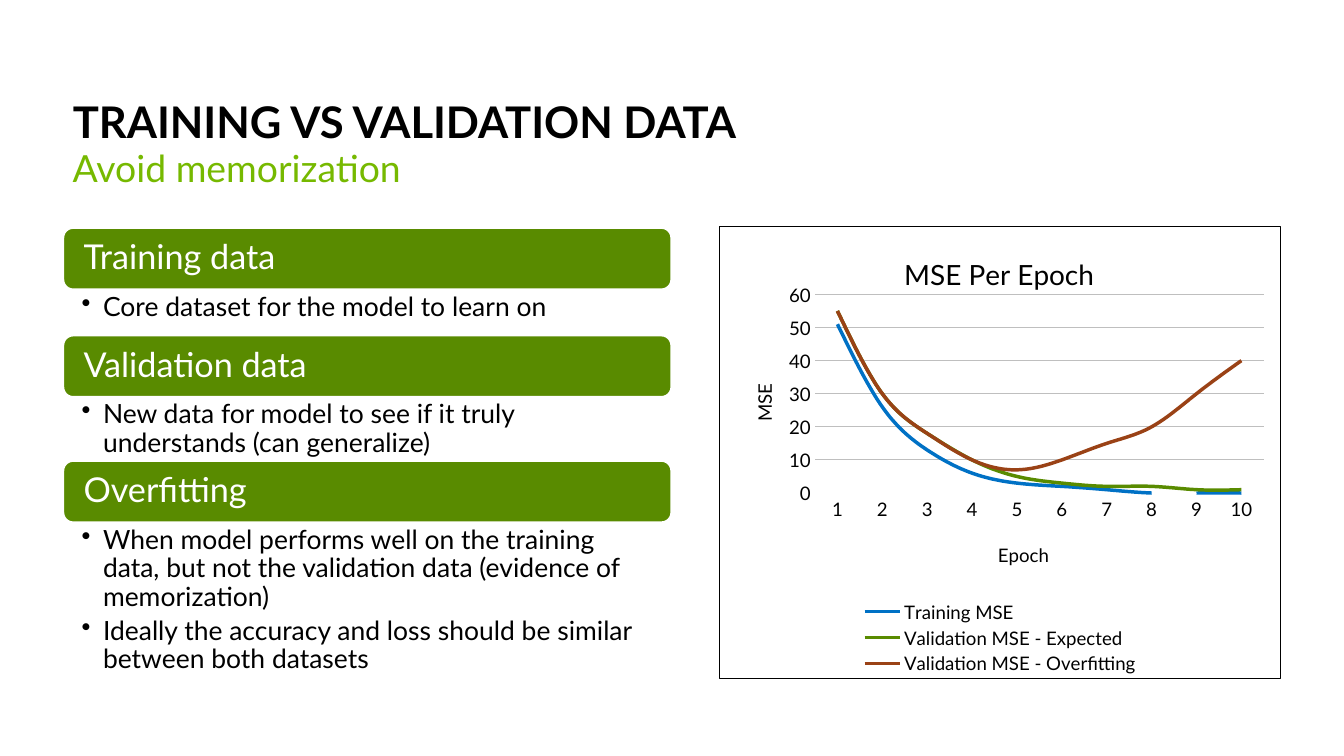
"""Build the training versus validation data slide."""
from dataclasses import dataclass

from lxml import etree
from pptx import Presentation
from pptx.chart import data as chart_data
from pptx.dml.color import RGBColor
from pptx.enum import chart as chart_enum, shapes, text
from pptx.oxml import ns
from pptx.util import Inches, Pt

FONT = "Lato"
BLACK = RGBColor(0x00, 0x00, 0x00)
WHITE = RGBColor(0xFF, 0xFF, 0xFF)
LIME = RGBColor(0x76, 0xB9, 0x00)
GREEN = RGBColor(0x59, 0x8B, 0x00)
BLUE = RGBColor(0x00, 0x71, 0xC5)
BROWN = RGBColor(0x9A, 0x42, 0x16)
GRAY = RGBColor(0xBF, 0xBF, 0xBF)
LEFT, WIDTH, HEADING_HEIGHT = 0.56, 5.44, 0.56


@dataclass
class Section:
    heading: str
    bullets: list[str]
    body_height: float


@dataclass
class Curve:
    name: str
    values: list[int]
    color: RGBColor


SECTIONS = [
    Section("Training data", ["Core dataset for the model to learn on"], 0.4),
    Section("Validation data",
            ["New data for model to see if it truly understands (can generalize)"], 0.56),
    Section("Overfitting",
            ["When model performs well on the training data, but not the "
             "validation data (evidence of memorization)",
             "Ideally the accuracy and loss should be similar between both datasets"], 1.37),
]
CURVES = [
    Curve("Training MSE", [51, 26, 13, 6, 3, 2, 1, 0, 0, 0], BLUE),
    Curve("Validation MSE - Expected", [55, 30, 18, 10, 5, 3, 2, 2, 1, 1], GREEN),
    Curve("Validation MSE - Overfitting", [55, 30, 18, 10, 7, 10, 15, 20, 30, 40], BROWN),
]


def style_font(font, size: float, color: RGBColor, bold: bool = False) -> None:
    """Set the typeface, size, colour and weight of a font."""
    font.name, font.size, font.bold = FONT, Pt(size), bold
    font.color.rgb = color


def style_paragraph(paragraph, size: float, color: RGBColor, bold: bool = False) -> None:
    """Left-align a paragraph with tight lines and set its font."""
    paragraph.alignment = text.PP_ALIGN.LEFT
    paragraph.line_spacing = 0.9
    style_font(paragraph.font, size, color, bold)


def add_titles(slide) -> None:
    """Fill the title placeholder and add the subtitle below it."""
    title = slide.shapes.title
    title.left, title.top = Inches(0.55), Inches(0.69)
    title.width, title.height = Inches(6.48), Inches(0.68)
    subtitle = slide.shapes.add_textbox(Inches(0.55), Inches(1.29), Inches(6.48), Inches(0.57))
    for shape, words, size, color, anchor in (
        (title, "TRAINING VS VALIDATION DATA", 28, BLACK, text.MSO_ANCHOR.BOTTOM),
        (subtitle, "Avoid memorization", 24, LIME, text.MSO_ANCHOR.TOP),
    ):
        frame = shape.text_frame
        frame.text = words
        frame.word_wrap = True
        frame.auto_size = text.MSO_AUTO_SIZE.NONE
        frame.vertical_anchor = anchor
        style_paragraph(frame.paragraphs[0], size, color, bold=shape is title)


def add_bullet(paragraph) -> None:
    """Give a paragraph a hanging round bullet."""
    properties = paragraph._p.get_or_add_pPr()
    properties.set("marL", str(Inches(0.19)))
    properties.set("indent", str(-Inches(0.19)))
    etree.SubElement(properties, ns.qn("a:buChar")).set("char", "•")


def add_section(slide, section: Section, top: float) -> float:
    """Draw a heading bar with its bullets and return the bottom edge."""
    bar = slide.shapes.add_shape(shapes.MSO_SHAPE.ROUNDED_RECTANGLE, Inches(LEFT),
                                 Inches(top), Inches(WIDTH), Inches(HEADING_HEIGHT))
    bar.shadow.inherit = False
    bar.fill.solid()
    bar.fill.fore_color.rgb = GREEN
    bar.line.color.rgb = WHITE
    bar.line.width = Pt(2)
    frame = bar.text_frame
    frame.text = section.heading
    frame.margin_left = Inches(0.16)
    frame.vertical_anchor = text.MSO_ANCHOR.MIDDLE
    style_paragraph(frame.paragraphs[0], 22, WHITE)

    body_top = top + HEADING_HEIGHT
    body = slide.shapes.add_textbox(Inches(LEFT), Inches(body_top), Inches(WIDTH),
                                    Inches(section.body_height))
    frame = body.text_frame
    frame.word_wrap = True
    frame.margin_left = frame.margin_right = Inches(0.17)
    frame.margin_top = frame.margin_bottom = Inches(0.03)
    frame.text = "\n".join(section.bullets)
    for paragraph in frame.paragraphs:
        add_bullet(paragraph)
        style_paragraph(paragraph, 17, BLACK)
        paragraph.space_after = Pt(3.4)
    return body_top + section.body_height


def place(element, index: int, **settings) -> None:
    """Give a chart part a manual layout in fractions of the chart."""
    for old in element.findall(ns.qn("c:layout")):
        element.remove(old)
    layout = etree.Element(ns.qn("c:layout"))
    manual = etree.SubElement(layout, ns.qn("c:manualLayout"))
    for name, value in settings.items():
        etree.SubElement(manual, ns.qn(f"c:{name}")).set("val", str(value))
    element.insert(index, layout)


def add_chart_title(owner, words: str, size: float, x: float, y: float) -> None:
    """Title a chart or an axis at a fixed place."""
    title = owner.chart_title if hasattr(owner, "chart_title") else owner.axis_title
    title.text_frame.text = words
    style_font(title.text_frame.paragraphs[0].font, size, BLACK)
    place(title._element, 1, xMode="edge", yMode="edge", x=x, y=y)


def add_border(chart) -> None:
    """Outline the chart area with a thin black line."""
    properties = etree.Element(ns.qn("c:spPr"))
    etree.SubElement(properties, ns.qn("a:noFill"))
    line = etree.SubElement(properties, ns.qn("a:ln"), w=str(Pt(0.75)))
    fill = etree.SubElement(line, ns.qn("a:solidFill"))
    etree.SubElement(fill, ns.qn("a:srgbClr"), val=str(BLACK))
    chart._chartSpace.find(ns.qn("c:chart")).addnext(properties)


def add_error_chart(slide) -> None:
    """Draw the error curves for each epoch."""
    data = chart_data.CategoryChartData()
    data.categories = [str(epoch) for epoch in range(1, 11)]
    for curve in CURVES:
        data.add_series(curve.name, curve.values)
    chart = slide.shapes.add_chart(chart_enum.XL_CHART_TYPE.LINE, Inches(6.42), Inches(2.02),
                                   Inches(5.02), Inches(4.04), data).chart
    style_font(chart.font, 12, BLACK)
    add_border(chart)
    for curve, series in zip(CURVES, chart.plots[0].series):
        series.smooth = True
        series.format.line.color.rgb = curve.color
        series.format.line.width = Pt(2.25)

    epochs, errors = chart.category_axis, chart.value_axis
    for axis in (epochs, errors):
        axis.major_tick_mark = axis.minor_tick_mark = chart_enum.XL_TICK_MARK.NONE
        style_font(axis.tick_labels.font, 12, BLACK)
    epochs.format.line.color.rgb = WHITE
    epochs.format.line.width = Pt(0.75)
    errors.format.line.fill.background()
    errors.minimum_scale, errors.maximum_scale, errors.major_unit = 0, 60, 10
    errors.major_gridlines.format.line.color.rgb = GRAY
    errors.major_gridlines.format.line.width = Pt(0.75)

    add_chart_title(chart, "MSE Per Epoch", 18, 0.32, 0.05)
    add_chart_title(epochs, "Epoch", 12, 0.49, 0.69)
    add_chart_title(errors, "MSE", 12, 0.05, 0.34)
    chart.has_legend = True
    chart.legend.position = chart_enum.XL_LEGEND_POSITION.BOTTOM
    chart.legend.include_in_layout = False
    style_font(chart.legend.font, 12, BLACK)
    place(chart.legend._element, 1, xMode="edge", yMode="edge", x=0.25, y=0.82, w=0.5, h=0.18)
    place(chart._chartSpace.chart.plotArea, 0, layoutTarget="inner", xMode="edge",
          yMode="edge", x=0.17, y=0.15, w=0.8, h=0.44)


def main() -> None:
    """Assemble and save the slide."""
    presentation = Presentation()
    presentation.slide_width, presentation.slide_height = Inches(12), Inches(6.75)
    slide = presentation.slides.add_slide(presentation.slide_layouts[5])
    add_titles(slide)
    top = 2.03
    for section in SECTIONS:
        top = add_section(slide, section, top)
    add_error_chart(slide)
    presentation.save("out.pptx")


if __name__ == "__main__":
    main()
